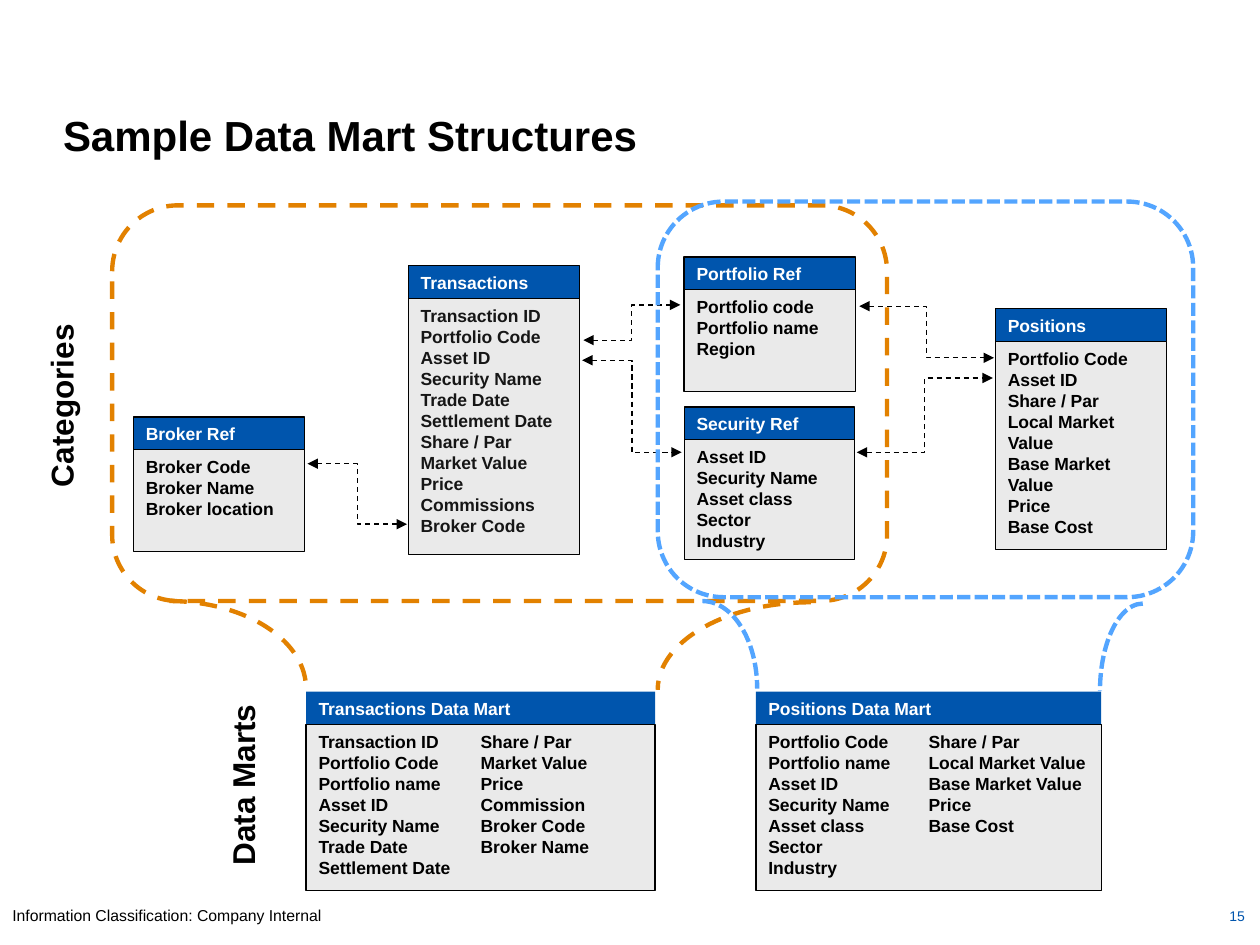
from lxml import etree
from pptx import Presentation
from pptx.dml.color import RGBColor
from pptx.enum.dml import MSO_LINE
from pptx.enum.shapes import MSO_CONNECTOR, MSO_SHAPE
from pptx.enum.text import MSO_ANCHOR, PP_ALIGN
from pptx.oxml.ns import qn
from pptx.util import Pt

PX = 9144
LEFT, RIGHT, MID = PP_ALIGN.LEFT, PP_ALIGN.RIGHT, PP_ALIGN.CENTER
DASH, SHORT = MSO_LINE.DASH, MSO_LINE.SQUARE_DOT
RECT, ARC = MSO_SHAPE.RECTANGLE, MSO_SHAPE.ARC
ROUND = MSO_SHAPE.FLOWCHART_ALTERNATE_PROCESS
BLACK, WHITE, BLUE, GRAY = "000000", "FFFFFF", "0055AD", "EAEAEA"
ORANGE, SKY = "E28100", "53A5FF"


def paint(part, color):
    if hasattr(part, "solid"):
        part.solid()
        part = part.fore_color
    else:
        part = part.color
    part.rgb = RGBColor.from_string(color)


def write(shape, lines, size, color, bold=True, align=LEFT, anchor=MSO_ANCHOR.TOP):
    frame = shape.text_frame
    frame.text = "\n".join(lines)
    frame.word_wrap = True
    frame.vertical_anchor = anchor
    for para in frame.paragraphs:
        para.alignment = align
        para.font.name = "Arial"
        para.font.size = Pt(size)
        para.font.bold = bold
        paint(para.font, color)


deck = Presentation()
deck.slide_width, deck.slide_height = 1000 * PX, 750 * PX
slide = deck.slides.add_slide(deck.slide_layouts[5])
shapes = slide.shapes

title = shapes.title
title.left, title.top, title.width, title.height = 50 * PX, 87 * PX, 900 * PX, 40 * PX
write(title, ["Sample Data Mart Structures"], 24, BLACK, anchor=MSO_ANCHOR.MIDDLE)
frame = title.text_frame
frame.margin_left = frame.margin_right = frame.margin_top = frame.margin_bottom = 0

notes = [
    (765, 715, 233, "15", 8, BLUE, RIGHT),
    (0, 714, 1000, "Information Classification: Company Internal", 9, BLACK, LEFT),
]
for x, y, w, text, size, color, align in notes:
    box = shapes.add_textbox(x * PX, y * PX, w * PX, 25 * PX)
    write(box, [text], size, color, False, align)

tables = [
    (543, 323, 135, 95, 1, BLACK, "Security Ref",
     ["Asset ID", "Security Name", "Asset class", "Sector", "Industry"]),
    (324, 211, 136, 203, 1, "161616", "Transactions",
     ["Transaction ID", "Portfolio Code", "Asset ID", "Security Name", "Trade Date",
      "Settlement Date", "Share / Par", "Market Value", "Price", "Commissions",
      "Broker Code"]),
    (106, 331, 136, 81, 1, BLACK, "Broker Ref",
     ["Broker Code", "Broker Name", "Broker location"]),
    (543, 204, 136, 81, 1, BLACK, "Portfolio Ref",
     ["Portfolio code", "Portfolio name", "Region"]),
    (790, 245, 136, 165, 1, BLACK, "Positions",
     ["Portfolio Code", "Asset ID", "Share / Par", "Local Market Value",
      "Base Market Value", "Price", "Base Cost"]),
    (243, 549, 277, 132, 2, BLACK, "Transactions Data Mart",
     ["Transaction ID", "Portfolio Code", "Portfolio name", "Asset ID",
      "Security Name", "Trade Date", "Settlement Date", "Share / Par",
      "Market Value", "Price", "Commission", "Broker Code", "Broker Name"]),
    (600, 549, 274, 132, 2, BLACK, "Positions Data Mart",
     ["Portfolio Code", "Portfolio name", "Asset ID", "Security Name",
      "Asset class", "Sector", "Industry", "Share / Par", "Local Market Value",
      "Base Market Value", "Price", "Base Cost"]),
]
for x, y, w, h, cols, ink, name, fields in tables:
    parts = [(y, 27, BLUE, WHITE, [name]), (y + 26, h, GRAY, ink, fields)]
    for top, high, fill, color, lines in parts:
        box = shapes.add_shape(RECT, x * PX, top * PX, w * PX, high * PX)
        box.shadow.inherit = False
        paint(box.fill, fill)
        if cols == 2 and fill == BLUE:
            box.line.fill.background()
        else:
            paint(box.line, BLACK)
            box.line.width = Pt(0.75)
        write(box, lines, 10, color)
    if cols == 2:
        box.text_frame._txBody.bodyPr.set("numCol", "2")

links = [
    (682, 243, 789, 284),
    (680, 359, 788, 300),
    (463, 270, 540, 242),
    (462, 286, 541, 359),
    (244, 368, 323, 416),
]
for ends in links:
    link = shapes.add_connector(MSO_CONNECTOR.ELBOW, *[n * PX for n in ends])
    paint(link.line, BLACK)
    link.line.width = Pt(0.75)
    link.line.dash_style = DASH
    line = link.line._get_or_add_ln()
    for tag in ("a:headEnd", "a:tailEnd"):
        etree.SubElement(line, qn(tag)).set("type", "triangle")
    etree.SubElement(link._element.spPr, qn("a:effectLst"))

curves = [
    (ROUND, 89, 163, 615, 314, ORANGE, DASH, False),
    (ROUND, 522, 160, 425, 314, SKY, SHORT, False),
    (ARC, 26, 477, 217, 139, ORANGE, DASH, False),
    (ARC, 522, 478, 243, 139, ORANGE, DASH, True),
    (ARC, 514, 477, 87, 139, SKY, SHORT, False),
    (ARC, 873, 479, 68, 139, SKY, SHORT, True),
]
for kind, x, y, w, h, color, dash, flip in curves:
    curve = shapes.add_shape(kind, x * PX, y * PX, w * PX, h * PX)
    curve.shadow.inherit = False
    curve.fill.background()
    paint(curve.line, color)
    curve.line.width = Pt(2.5)
    curve.line.dash_style = dash
    if flip:
        curve._element.spPr.xfrm.set("flipH", "1")

labels = [(-27, 302, 151, "Categories"), (118, 603, 149, "Data Marts")]
for x, y, w, text in labels:
    label = shapes.add_textbox(x * PX, y * PX, w * PX, 40 * PX)
    label.rotation = 270
    write(label, [text], 18, BLACK, align=MID)
    label.text_frame.word_wrap = False

deck.save("out.pptx")
